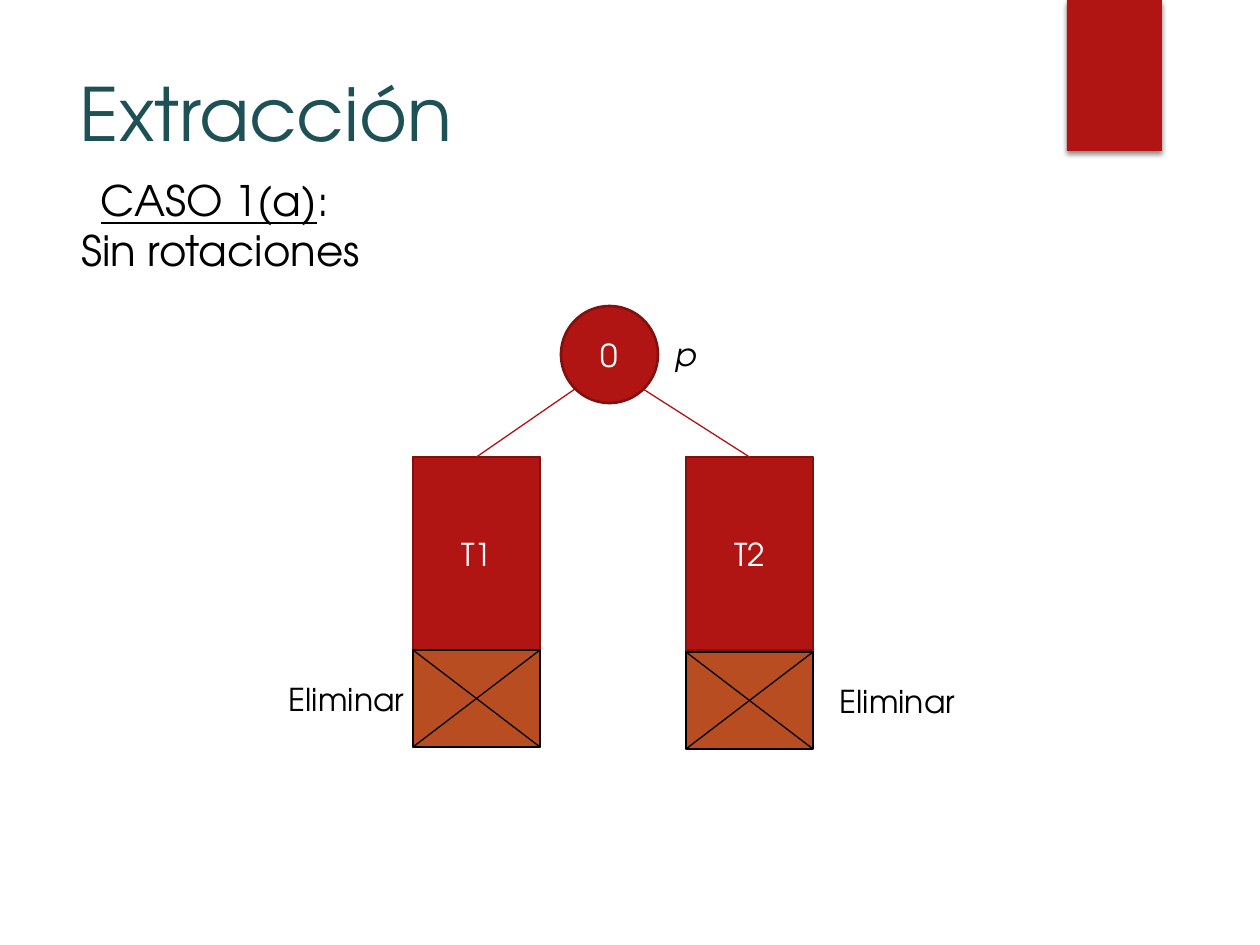
"""Build the slide on extraction case 1(a): two subtrees that lose their lower part."""
from dataclasses import dataclass

from lxml import etree
from pptx import Presentation
from pptx.dml.color import RGBColor
from pptx.enum.shapes import MSO_CONNECTOR, MSO_SHAPE
from pptx.enum.text import MSO_ANCHOR, MSO_AUTO_SIZE, PP_ALIGN
from pptx.oxml import parse_xml
from pptx.oxml.ns import nsdecls, qn
from pptx.util import Emu, Pt

STRAIGHT = MSO_CONNECTOR.STRAIGHT
RECTANGLE, OVAL = MSO_SHAPE.RECTANGLE, MSO_SHAPE.OVAL
TOP, MIDDLE = MSO_ANCHOR.TOP, MSO_ANCHOR.MIDDLE
LEFT, CENTER = PP_ALIGN.LEFT, PP_ALIGN.CENTER
FIT_SHAPE, FIT_NONE = MSO_AUTO_SIZE.SHAPE_TO_FIT_TEXT, MSO_AUTO_SIZE.NONE
SCALE = 914400 / 126


@dataclass(frozen=True)
class Theme:
    font: str = "TeX Gyre Adventor"
    red: str = "B01513"
    dark_red: str = "82100E"
    orange: str = "B74D21"
    teal: str = "1E5155"
    black: str = "000000"
    white: str = "FFFFFF"
    title: int = 42
    case: int = 24
    label: int = 18
    outline: float = 1.5
    thin: float = 0.75


theme = Theme()


def px(*lengths):
    return [Emu(round(length * SCALE)) for length in lengths]


def write(shape, text, size, color, alignment=CENTER, anchor=TOP):
    frame = shape.text_frame
    frame.text = text
    frame.vertical_anchor = anchor
    for paragraph in frame.paragraphs:
        paragraph.alignment = alignment
        for run in paragraph.runs:
            run.font.name = theme.font
            run.font.size = Pt(size)
            run.font.color.rgb = RGBColor.from_string(color)


presentation = Presentation()
presentation.slide_width, presentation.slide_height = px(1260, 945)
slide = presentation.slides.add_slide(presentation.slide_layouts[5])
shapes = slide.shapes

title = shapes.title
title.left, title.top, title.width, title.height = px(67, 62, 973, 193)
write(title, "Extracción", theme.title, theme.teal, LEFT)
title.text_frame.auto_size = FIT_NONE

banner = shapes.add_shape(RECTANGLE, *px(1067, 0, 95, 151))
banner.fill.solid()
banner.fill.fore_color.rgb = RGBColor.from_string(theme.red)
banner.line.fill.background()
banner._element.spPr.append(parse_xml(
    f'<a:effectLst {nsdecls("a")}><a:outerShdw blurRad="38100" dist="25400" dir="5400000" rotWithShape="0">'
    f'<a:srgbClr val="{theme.black}"><a:alpha val="45000"/></a:srgbClr></a:outerShdw></a:effectLst>'))

tree_top, tree_width, tree_height, full_height, cut_height = 457, 127, 193, 290, 97
outlined, connectors = [], []
for name, tree_left, branch_left, cut_top in (("T1", 413, 575, 650), ("T2", 686, 643, 652)):
    backing = shapes.add_shape(RECTANGLE, *px(tree_left, tree_top, tree_width, full_height))
    tree = shapes.add_shape(RECTANGLE, *px(tree_left, tree_top, tree_width, tree_height))
    write(tree, name, theme.label, theme.white, anchor=MIDDLE)

    branch = shapes.add_connector(STRAIGHT, *px(branch_left, 389, tree_left, tree_top))
    branch.end_connect(tree, 0)

    group = shapes.add_group_shape()
    cut = group.shapes.add_shape(RECTANGLE, *px(tree_left, cut_top, tree_width, cut_height))
    tree_right, cut_bottom = tree_left + tree_width, cut_top + cut_height
    falling = group.shapes.add_connector(STRAIGHT, *px(tree_left, cut_top, tree_right, cut_bottom))
    rising = group.shapes.add_connector(STRAIGHT, *px(tree_right, cut_top, tree_left, cut_bottom))

    outlined += [(backing, theme.red, theme.dark_red), (tree, theme.red, theme.dark_red),
                 (cut, theme.orange, theme.black)]
    connectors += [(branch, theme.red), (falling, theme.black), (rising, theme.black)]

node = shapes.add_shape(OVAL, *px(561, 306, 97, 97))
write(node, "0", theme.label, theme.white, anchor=MIDDLE)
outlined.append((node, theme.red, theme.dark_red))

for shape, fill, line in outlined:
    shape.shadow.inherit = False
    shape.fill.solid()
    shape.fill.fore_color.rgb = RGBColor.from_string(fill)
    shape.line.color.rgb = RGBColor.from_string(line)
    shape.line.width = Pt(theme.outline)

for connector, color in connectors:
    connector.line.color.rgb = RGBColor.from_string(color)
    connector.line.width = Pt(theme.thin)
    etree.SubElement(connector._element.spPr, qn("a:effectLst"))

labels = {}
for key, text, size, box, wrap in (
    ("case", "CASO 1(a)\nSin rotaciones", theme.case, (-15, 168, 471, 115), True),
    ("left", "Eliminar", theme.label, (111, 674, 471, 50), True),
    ("right", "Eliminar", theme.label, (822, 676, 151, 50), True),
    ("node", "p", theme.label, (663, 329, 40, 50), False),
):
    label = shapes.add_textbox(*px(*box))
    write(label, text, size, theme.black)
    label.text_frame.word_wrap = wrap
    label.text_frame.auto_size = FIT_SHAPE
    labels[key] = label.text_frame.paragraphs[0]

labels["node"].runs[0].font.italic = True
labels["case"].runs[0].font.underline = True
colon = labels["case"].add_run()
colon.text = ": "
colon.font.name = theme.font
colon.font.size = Pt(theme.case)
colon.font.color.rgb = RGBColor.from_string(theme.black)

presentation.save("out.pptx")
